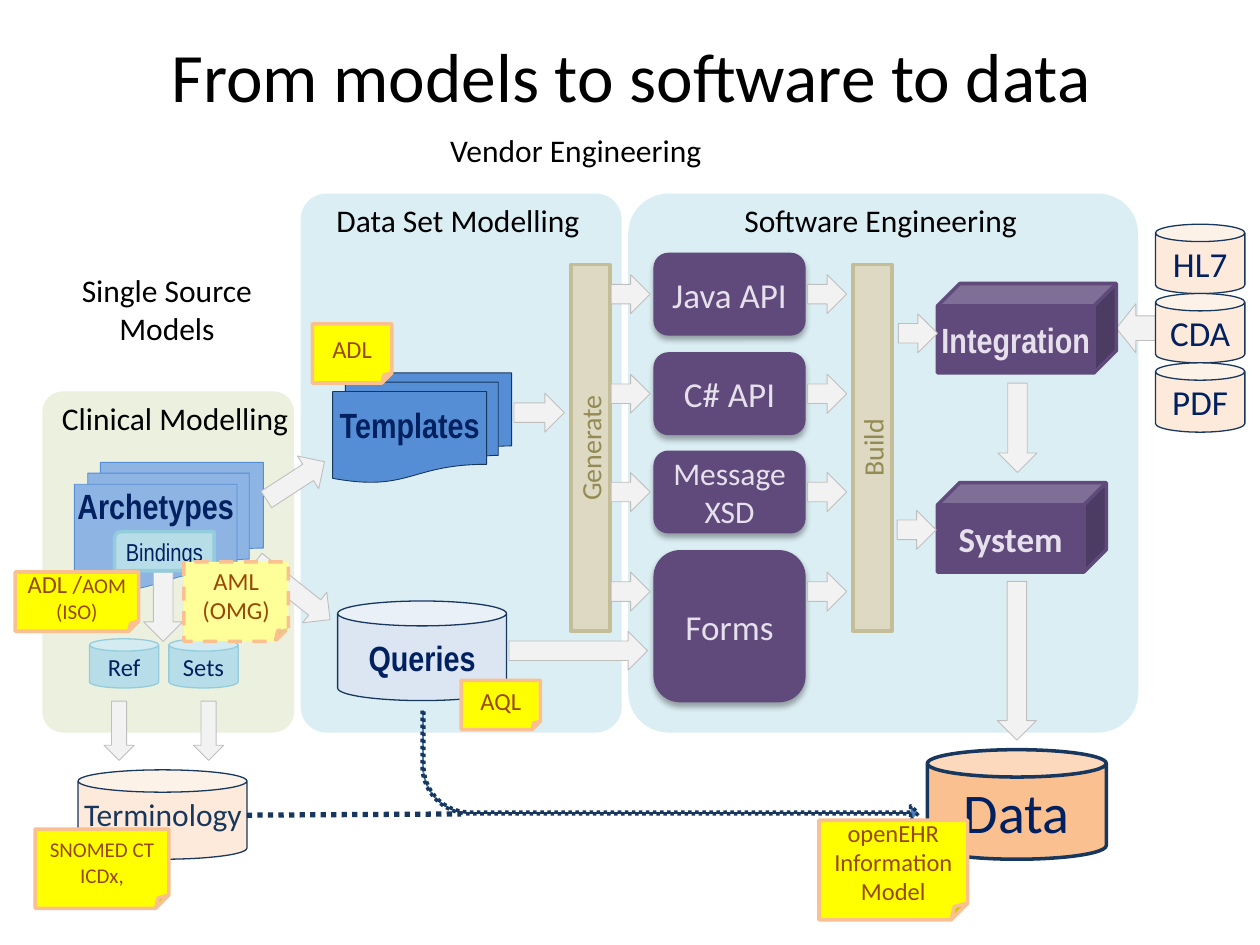
from lxml import etree
from pptx import Presentation
from pptx.dml.color import RGBColor
from pptx.enum.dml import MSO_LINE
from pptx.enum.shapes import MSO_CONNECTOR, MSO_SHAPE
from pptx.enum.text import MSO_ANCHOR, PP_ALIGN
from pptx.oxml.ns import qn
from pptx.util import Inches, Pt

PANEL = MSO_SHAPE.ROUNDED_RECTANGLE
CAN = MSO_SHAPE.CAN
CUBE = MSO_SHAPE.CUBE
NOTE = MSO_SHAPE.FOLDED_CORNER
STACK = MSO_SHAPE.FLOWCHART_MULTIDOCUMENT
BINDING = MSO_SHAPE.ROUND_2_DIAG_RECTANGLE
BAR = MSO_SHAPE.RECTANGLE
ARROW = MSO_SHAPE.RIGHT_ARROW
BENT_ARROW = MSO_SHAPE.BENT_ARROW
DOTTED = MSO_LINE.ROUND_DOT
DASHED = MSO_LINE.DASH
CENTER = PP_ALIGN.CENTER
LEFT = PP_ALIGN.LEFT
MIDDLE = MSO_ANCHOR.MIDDLE
TOP = MSO_ANCHOR.TOP

NARROW = "Arial Narrow"
NAVY = "002060"
DARK_BLUE = "17375E"
PURPLE = "604A7B"
LILAC = "E6E0EC"
PEACH = "FDEADA"
ORANGE = "FAC090"
AQUA = "B7DEE8"
AQUA_EDGE = "93CDDD"
PALE_BLUE = "DBEEF4"
YELLOW = "FFFF00"


def rgb(value):
    return RGBColor.from_string(value)


def style_line(line, color, width, dash=None):
    line.color.rgb = rgb(color)
    line.width = Pt(width)
    if dash:
        line.dash_style = dash


def write(frame, text, size, color, font="Calibri", bold=False,
          align=CENTER, anchor=MIDDLE, wrap=True, insets=None):
    frame.word_wrap = wrap
    frame.vertical_anchor = anchor
    if insets:
        (frame.margin_left, frame.margin_top,
         frame.margin_right, frame.margin_bottom) = map(Inches, insets)
    frame.text = text
    for paragraph in frame.paragraphs:
        paragraph.alignment = align
        paragraph.font.size = Pt(size)
        paragraph.font.name = font
        paragraph.font.bold = bold
        paragraph.font.color.rgb = rgb(color)


def add_block(slide, kind, box, fill, edge, width, dash=None, rotation=0, adjust=()):
    block = slide.shapes.add_shape(kind, *map(Inches, box))
    block.shadow.inherit = False
    block.fill.solid()
    block.fill.fore_color.rgb = rgb(fill)
    style_line(block.line, edge, width, dash)
    block.rotation = rotation
    for index, value in enumerate(adjust):
        block.adjustments[index] = value
    return block


def add_panel(slide, box, color):
    add_block(slide, PANEL, box, color, color, 2, adjust=[0.076])


def add_arrow(slide, box, rotation=0):
    add_block(slide, ARROW, box, "F2F2F2", "BFBFBF", 0.5, rotation=rotation)


def add_can(slide, box, text, size, fill=PEACH, edge=DARK_BLUE, width=0.75, **style):
    can = add_block(slide, CAN, box, fill, edge, width)
    write(can.text_frame, text, size, NAVY, **style)


def add_stack(slide, box, text, fill, edge, anchor):
    stack = add_block(slide, STACK, box, fill, edge, 0.5)
    write(stack.text_frame, text, 20, NAVY, NARROW, True,
          anchor=anchor, insets=(0, 0, 0, 0.16))


def add_cube(slide, box, text, font, side):
    cube = add_block(slide, CUBE, box, PURPLE, PURPLE, 2)
    write(cube.text_frame, text, 20, LILAC, font, True, insets=(side, 0.05, side, 0.05))


def add_bar(slide, left, text):
    bar = add_block(slide, BAR, (left, 3.4, 2.91, 0.31), "DDD9C3", "C4BD97", 2, rotation=270)
    write(bar.text_frame, text, 16, "948A54")


def add_artefact(slide, top, height, text, size):
    artefact = add_block(slide, PANEL, (5.2, top, 1.18, height), PURPLE, PURPLE, 2)
    effects = artefact._element.spPr.find(qn("a:effectLst"))
    shadow = etree.SubElement(effects, qn("a:outerShdw"), blurRad=str(Pt(3.5)),
                              dist=str(Pt(2.2)), dir="5400000", rotWithShape="0")
    tone = etree.SubElement(shadow, qn("a:srgbClr"), val="000000")
    etree.SubElement(tone, qn("a:alpha"), val="32000")
    write(artefact.text_frame, text, size, LILAC)


def add_note(slide, box, text, size=14, fill=YELLOW, dash=None):
    note = add_block(slide, NOTE, box, fill, ORANGE, 2, dash)
    write(note.text_frame, text, size, "984807")
    return note.text_frame


def add_label(slide, box, text, size=18, color="000000", **style):
    label = slide.shapes.add_textbox(*map(Inches, box))
    write(label.text_frame, text, size, color, **style)


def add_heading(slide, box, text, align=CENTER, color="000000"):
    add_label(slide, box, text, color=color, align=align, anchor=TOP, wrap=False)


def add_dotted_link(slide, start, end):
    link = slide.shapes.add_connector(MSO_CONNECTOR.STRAIGHT, *map(Inches, start + end))
    style_line(link.line, DARK_BLUE, 3, DOTTED)
    etree.SubElement(link._element.spPr, qn("a:effectLst"))


def draw_clinical_modelling(slide):
    add_can(slide, (0.62, 6.11, 1.34, 0.71), "", 18)
    add_heading(slide, (0.57, 6.26, 1.47, 0.4), "Terminology", LEFT, DARK_BLUE)
    for left, text in ((0.71, "Ref"), (1.34, "Sets")):
        add_can(slide, (left, 5.07, 0.55, 0.39), text, 14, AQUA, AQUA_EDGE)
    add_stack(slide, (0.59, 3.67, 1.5, 1.02), "Archetypes", "8EB4E3", "558ED5", TOP)
    add_arrow(slide, (1.95, 4.53, 0.75, 0.31), 38.4)
    add_arrow(slide, (1.02, 4.66, 0.55, 0.31), 90)
    bindings = add_block(slide, BINDING, (0.91, 4.22, 0.79, 0.31), AQUA, AQUA_EDGE, 2)
    write(bindings.text_frame, "Bindings", 14, NAVY, NARROW, insets=(0.04, 0.05, 0.04, 0.05))
    for left in (0.71, 1.42):
        add_arrow(slide, (left, 5.68, 0.47, 0.24), 90)
    add_heading(slide, (0.38, 3.12, 2.02, 0.4), "Clinical Modelling")


def draw_data_sets(slide):
    add_stack(slide, (2.64, 2.96, 1.42, 0.87), "Templates", "558ED5", DARK_BLUE, MIDDLE)
    add_can(slide, (2.68, 4.77, 1.34, 0.79), "Queries", 20, "DCE6F2", font=NARROW, bold=True)
    add_arrow(slide, (4.08, 3.12, 0.4, 0.31))
    add_arrow(slide, (2.07, 3.66, 0.55, 0.31), 327)
    add_heading(slide, (2.56, 1.55, 2.15, 0.4), "Data Set Modelling")


def draw_software(slide):
    for top, height, text, size in (
            (2.02, 0.63, "Java API", 20), (2.81, 0.63, "C# API", 20),
            (3.59, 0.63, "Message XSD", 18), (4.38, 1.18, "Forms", 20)):
        add_artefact(slide, top, height, text, size)
    add_bar(slide, 3.23, "Generate")
    add_bar(slide, 5.47, "Build")
    for left in (4.85, 6.41):
        for row in range(4):
            add_arrow(slide, (left, round(2.18 + row * 0.787, 2), 0.31, 0.31))
    add_arrow(slide, (4.04, 5.01, 1.1, 0.31))
    add_heading(slide, (5.79, 1.55, 2.4, 0.4), "Software Engineering")


def draw_runtime(slide):
    add_arrow(slide, (7.44, 5.09, 1.26, 0.31), 90)
    add_cube(slide, (7.44, 3.83, 1.34, 0.71), "System", "Calibri", 0.04)
    add_can(slide, (7.36, 5.95, 1.42, 0.87), "Data", 32, ORANGE, width=2)
    query_path = add_block(slide, BENT_ARROW, (3.35, 5.64, 3.94, 0.87), "4F81BD", DARK_BLUE, 2,
                           DOTTED, adjust=(0.017, 0.066, 0.072, 0.438))
    query_path._element.spPr.xfrm.set("flipV", "1")
    add_dotted_link(slide, (1.96, 6.47), (3.66, 6.46))
    add_arrow(slide, (7.12, 4.05, 0.31, 0.31))
    add_arrow(slide, (8.86, 2.41, 0.31, 0.39), 180)
    add_cube(slide, (7.44, 2.25, 1.42, 0.71), "Integration", NARROW, 0)
    add_arrow(slide, (7.13, 2.49, 0.31, 0.31))
    add_arrow(slide, (7.72, 3.24, 0.71, 0.31), 90)
    for row, text in enumerate(("HL7", "CDA", "PDF")):
        add_can(slide, (9.17, 1.78 + row * 0.55, 0.71, 0.55), text, 20)


def draw_notes(slide):
    add_note(slide, (6.5, 6.51, 1.18, 0.79), "openEHR Information Model")
    standard = add_note(slide, (0.12, 4.54, 0.98, 0.47), "ADL /\n(ISO)", 12)
    standard.paragraphs[0].runs[0].font.size = Pt(14)
    standard.paragraphs[0].add_run().text = "AOM"
    add_note(slide, (1.46, 4.46, 0.83, 0.63), "AML\n(OMG)", fill="FFFF99", dash=DASHED)
    add_note(slide, (3.66, 5.4, 0.63, 0.39), "AQL")
    add_note(slide, (2.48, 2.57, 0.63, 0.47), "ADL")
    add_note(slide, (0.28, 6.58, 1.06, 0.63), "SNOMED CT\nICDx,", 12)


def main():
    deck = Presentation()
    deck.slide_width, deck.slide_height = Inches(10), Inches(7.5)
    slide = deck.slides.add_slide(deck.slide_layouts[6])
    add_panel(slide, (5, 1.55, 4.02, 4.25), PALE_BLUE)
    add_panel(slide, (0.35, 3.12, 1.97, 2.68), "EBF1DE")
    add_panel(slide, (2.4, 1.55, 2.52, 4.25), PALE_BLUE)
    add_label(slide, (0.51, 0.21, 9, 0.77), "From models to software to data", 39.6)
    draw_clinical_modelling(slide)
    draw_data_sets(slide)
    draw_software(slide)
    draw_runtime(slide)
    draw_notes(slide)
    add_heading(slide, (0.51, 2.1, 1.63, 0.71), "Single Source\vModels")
    add_heading(slide, (3.46, 0.99, 2.22, 0.4), "Vendor Engineering")
    deck.save("out.pptx")


main()
